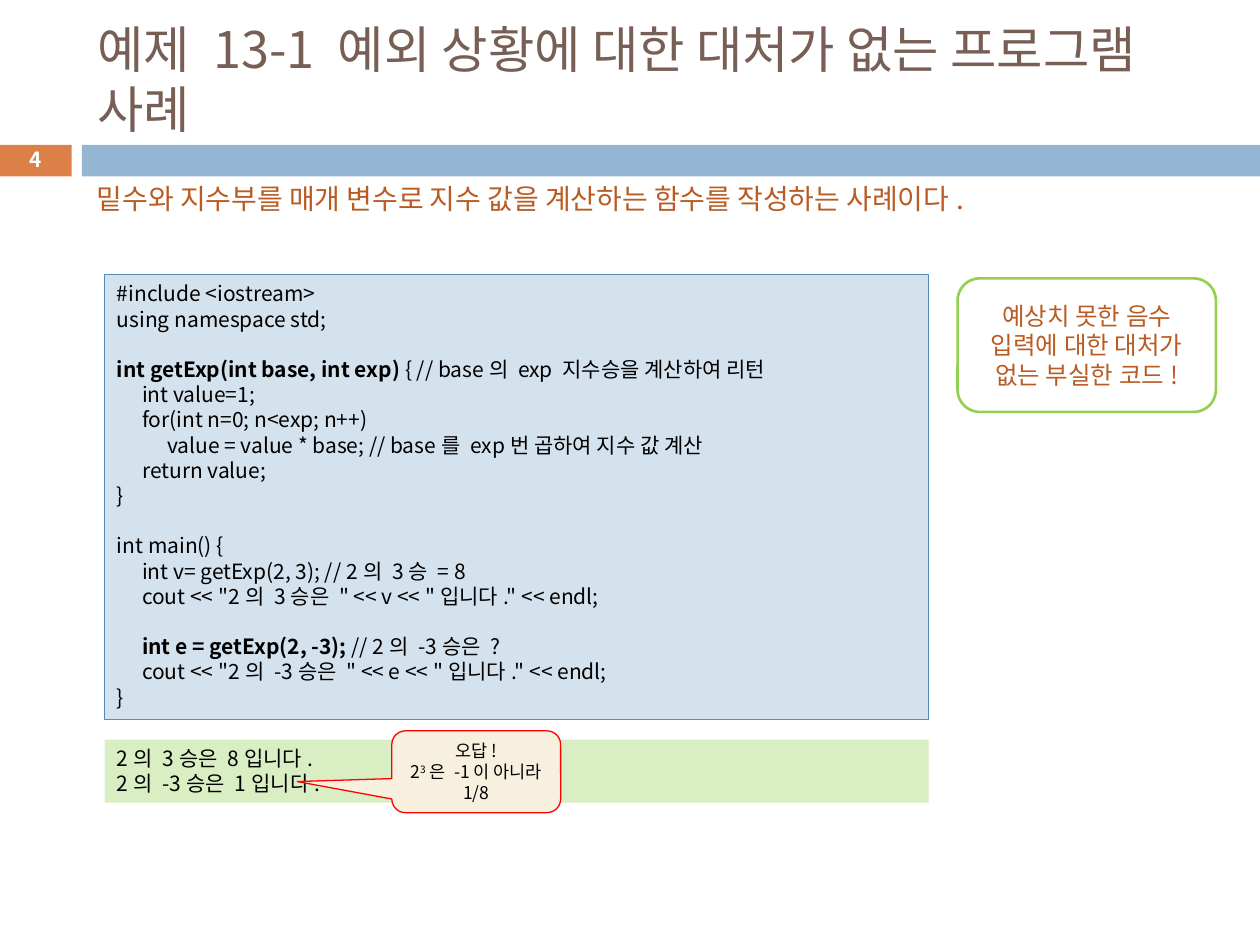
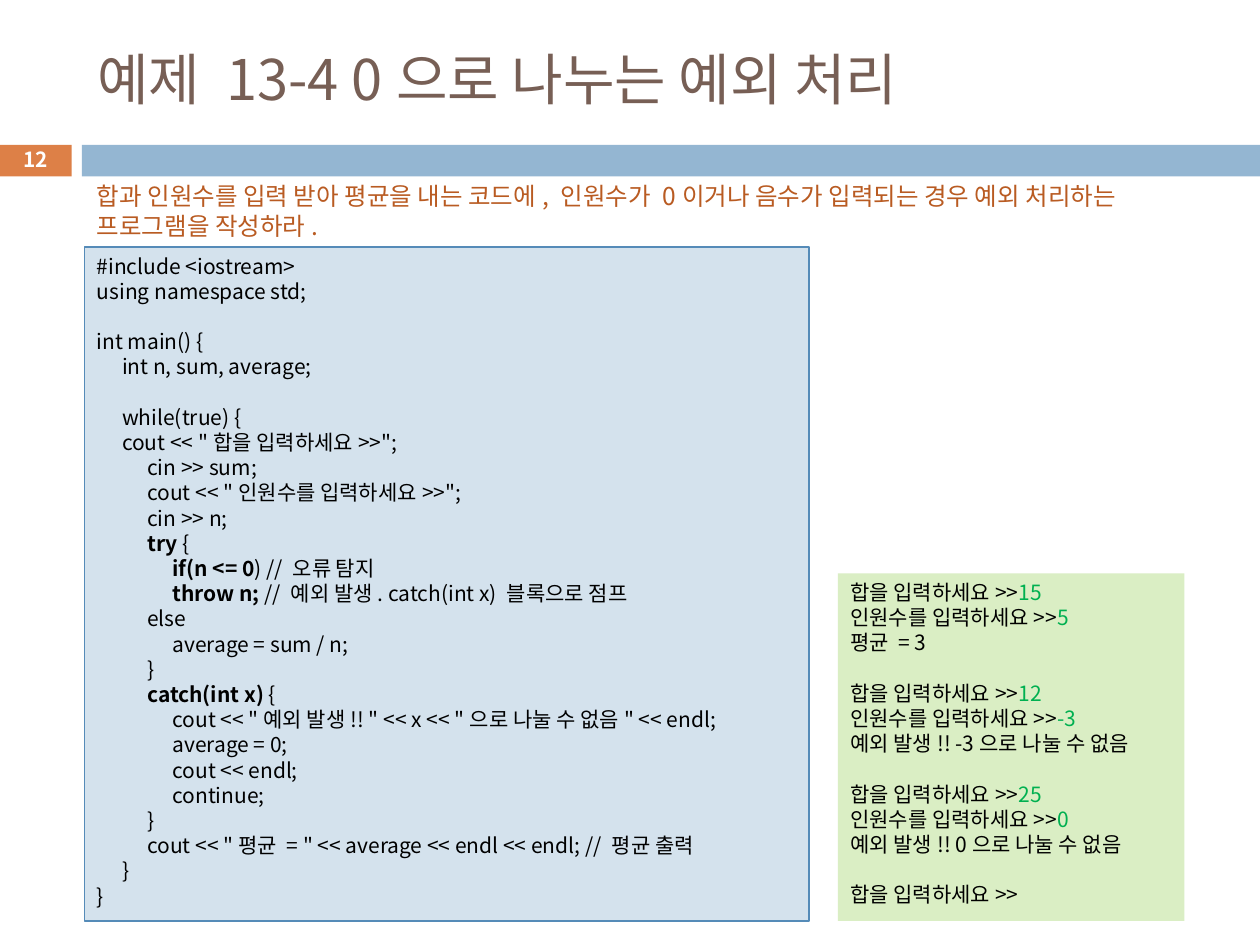
from dataclasses import dataclass
from typing import Any

from lxml.etree import SubElement
from pptx import Presentation
from pptx.dml.color import RGBColor
from pptx.enum.shapes import MSO_SHAPE
from pptx.enum.text import MSO_ANCHOR, MSO_AUTO_SIZE, PP_ALIGN
from pptx.oxml.ns import qn
from pptx.util import Inches, Pt


@dataclass(frozen=True)
class Theme:
    """Colours, type sizes and grid of the lecture."""

    font: str = "Noto Sans CJK KR"
    ink: str = "000000"
    white: str = "FFFFFF"
    title: str = "775F55"
    accent: str = "B95B22"
    number_band: str = "DD8047"
    wide_band: str = "94B6D2"
    code_fill: str = "D4E2ED"
    code_line: str = "558BB8"
    output_fill: str = "DAEEC4"
    typed: str = "00B050"
    remark_line: str = "92D050"
    error_fill: str = "F7F0DE"
    error_line: str = "FF0000"
    title_size: float = 32
    intro_size: float = 16
    remark_size: float = 14
    code_size: float = 12
    number_size: float = 11.9
    error_size: float = 10
    leading: float = 1.2
    tab: float = 0.2
    columns: int = 100
    rows: int = 75


THEME = Theme()


def write(frame, text, size=THEME.code_size, color=THEME.ink, bold=False,
          align=PP_ALIGN.LEFT, anchor=MSO_ANCHOR.TOP, grow=False, marked=None):
    """Fill a frame line by line; pieces between bars take the marked format."""
    frame.word_wrap = True
    frame.vertical_anchor = anchor
    frame.auto_size = MSO_AUTO_SIZE.SHAPE_TO_FIT_TEXT if grow else MSO_AUTO_SIZE.NONE
    leading = size * THEME.leading
    paragraph, gap = None, 0
    for line in text.split("\n"):
        if not line:
            gap += leading
            continue
        paragraph = frame.add_paragraph() if paragraph else frame.paragraphs[0]
        paragraph.alignment = align
        paragraph.line_spacing = Pt(leading)
        paragraph.space_before = Pt(gap)
        gap = 0
        if "\t" in line:
            stops = SubElement(paragraph._p.get_or_add_pPr(), qn("a:tabLst"))
            for level in range(1, 4):
                SubElement(stops, qn("a:tab"), pos=str(Inches(level * THEME.tab)), algn="l")
        for order, piece in enumerate(line.split("|")):
            if not piece:
                continue
            look = {"color": color, "bold": bold, "raised": False}
            if order % 2:
                look.update(marked or {})
            run = paragraph.add_run()
            run.text = piece
            run.font.name = THEME.font
            run.font.size = Pt(size)
            run.font.bold = look["bold"]
            run.font.color.rgb = RGBColor.from_string(look["color"])
            properties = run.font._element
            SubElement(properties, qn("a:ea"), typeface=THEME.font)
            if look["raised"]:
                properties.set("baseline", "30000")


@dataclass
class Lecture:
    """The presentation, its style and the slide being built."""

    presentation: Any
    theme: Theme = THEME
    slide: Any = None

    def place(self, left, top, width, height):
        """Turn grid columns and rows into lengths."""
        column = self.presentation.slide_width / self.theme.columns
        row = self.presentation.slide_height / self.theme.rows
        return [round(n * unit) for n, unit in
                zip((left, top, width, height), (column, row, column, row))]

    def open_slide(self, title, number, size=THEME.title_size):
        """Start a slide with its title and number."""
        layout = self.presentation.slide_layouts[5]
        self.slide = self.presentation.slides.add_slide(layout)
        heading = self.slide.shapes.title
        heading.left, heading.top, heading.width, heading.height = self.place(6.7, 2.5, 89.2, 7.4)
        write(heading.text_frame, title, size=size, color=self.theme.title,
              anchor=MSO_ANCHOR.MIDDLE)
        self.label((0, 11.3, 5.7, 2.7), str(number), size=self.theme.number_size,
                   color=self.theme.white, bold=True, align=PP_ALIGN.CENTER,
                   anchor=MSO_ANCHOR.MIDDLE)

    def share_bands(self):
        """Put the two bands on the layout for every slide."""
        shared = self.slide.slide_layout.shapes.element
        for left, width, fill in ((0, 5.7, self.theme.number_band),
                                  (6.5, 93.5, self.theme.wide_band)):
            shared.append(self.panel((left, 11.5, width, 2.5), fill=fill).element)

    def label(self, area, text, **look):
        """Add text without a box."""
        write(self.slide.shapes.add_textbox(*self.place(*area)).text_frame, text, **look)

    def panel(self, area, text="", kind=MSO_SHAPE.RECTANGLE, fill=None, line=None,
              weight=0.75, **look):
        """Add a preset shape with optional text."""
        shape = self.slide.shapes.add_shape(kind, *self.place(*area))
        shape.shadow.inherit = False
        if fill:
            shape.fill.solid()
            shape.fill.fore_color.rgb = RGBColor.from_string(fill)
        else:
            shape.fill.background()
        if line:
            shape.line.color.rgb = RGBColor.from_string(line)
            shape.line.width = Pt(weight)
        else:
            shape.line.fill.background()
        if text:
            write(shape.text_frame, text, **look)
        return shape

    def intro(self, text, height, size):
        """Add the sentence under the band."""
        self.label((6.7, 13.9, 88.2, height), text, size=size, color=self.theme.accent, grow=True)

    def code(self, area, text):
        """Add a program listing."""
        self.panel(area, text, fill=self.theme.code_fill, line=self.theme.code_line,
                   grow=True, marked={"bold": True})

    def output(self, area, text):
        """Add what the program prints, with typed input in green."""
        self.panel(area, text, fill=self.theme.output_fill, grow=True,
                   marked={"color": self.theme.typed})

    def remark(self, area, text):
        """Add a rounded remark."""
        self.panel(area, text, kind=MSO_SHAPE.ROUNDED_RECTANGLE, line=self.theme.remark_line,
                   weight=1.5, size=self.theme.remark_size, color=self.theme.accent,
                   align=PP_ALIGN.CENTER, anchor=MSO_ANCHOR.MIDDLE)

    def error(self, area, text, tip):
        """Add a callout whose tip points at a wrong answer."""
        callout = self.panel(area, text, kind=MSO_SHAPE.ROUNDED_RECTANGULAR_CALLOUT,
                             fill=self.theme.error_fill, line=self.theme.error_line,
                             size=self.theme.error_size, align=PP_ALIGN.CENTER,
                             anchor=MSO_ANCHOR.MIDDLE, marked={"raised": True})
        callout.adjustments[0], callout.adjustments[1] = tip


POWER_CODE = """#include <iostream>
using namespace std;

|int getExp(int base, int exp) |{ // base의 exp 지수승을 계산하여 리턴
\tint value=1;
\tfor(int n=0; n<exp; n++)
\t\tvalue = value * base; // base를 exp번 곱하여 지수 값 계산
\treturn value;
}

int main() {
\tint v= getExp(2, 3); // 2의 3승 = 8
\tcout << "2의 3승은 " << v << "입니다." << endl;

\t|int e = getExp(2, -3); |// 2의 -3승은 ?
\tcout << "2의 -3승은 " << e << "입니다." << endl;
}"""

AVERAGE_CODE = """#include <iostream>
using namespace std;

int main() {
\tint n, sum, average;

\twhile(true) {
\tcout << "합을 입력하세요>>";
\t\tcin >> sum;
\t\tcout << "인원수를 입력하세요>>";
\t\tcin >> n;
\t\t|try| {
\t\t\t|if(n <= 0|) // 오류 탐지
\t\t\t|throw n; |// 예외 발생. catch(int x) 블록으로 점프
\t\telse
\t\t\taverage = sum / n;
\t\t}
\t\t|catch(int x) |{
\t\t\tcout << "예외 발생!! " << x << "으로 나눌 수 없음" << endl;
\t\t\taverage = 0;
\t\t\tcout << endl;
\t\t\tcontinue;
\t\t}
\t\tcout << "평균 = " << average << endl << endl; // 평균 출력
\t}
}"""

AVERAGE_OUTPUT = """합을 입력하세요>>|15|
인원수를 입력하세요>>|5|
평균 = 3

합을 입력하세요>>|12|
인원수를 입력하세요>>|-3|
예외 발생!! -3으로 나눌 수 없음

합을 입력하세요>>|25|
인원수를 입력하세요>>|0|
예외 발생!! 0으로 나눌 수 없음

합을 입력하세요>>"""


def main():
    """Build both example slides."""
    presentation = Presentation()
    presentation.slide_width, presentation.slide_height = Inches(10), Inches(7.5)
    lecture = Lecture(presentation)

    lecture.open_slide("예제 13-1 예외 상황에 대한 대처가 없는 프로그램 사례", 4,
                       size=THEME.title_size * 0.9)
    lecture.share_bands()
    lecture.output((8.3, 58.7, 65.4, 5), "2의 3승은 8입니다.\n2의 -3승은 1입니다.")
    lecture.code((8.3, 21.8, 65.4, 35.3), POWER_CODE)
    lecture.error((31.1, 58, 13.4, 6.5), "오답!\n2|3|은 -1이 아니라 1/8", tip=(-1.06, 0.12))
    lecture.remark((76, 22.1, 20.5, 10.6), "예상치 못한 음수 입력에 대한 대처가 없는 부실한 코드!")
    lecture.intro("밑수와 지수부를 매개 변수로 지수 값을 계산하는 함수를 작성하는 사례이다.",
                  height=3.7, size=THEME.intro_size)

    lecture.open_slide("예제 13-4 0으로 나누는 예외 처리", 12)
    lecture.code((6.7, 19.6, 57.5, 53.5), AVERAGE_CODE)
    lecture.output((66.5, 45.5, 27.5, 27.6), AVERAGE_OUTPUT)
    lecture.intro("합과 인원수를 입력 받아 평균을 내는 코드에, 인원수가 0이거나 음수가 입력되는 경우 "
                  "예외 처리하는 프로그램을 작성하라.", height=5.7, size=THEME.remark_size)

    presentation.save("out.pptx")


main()
